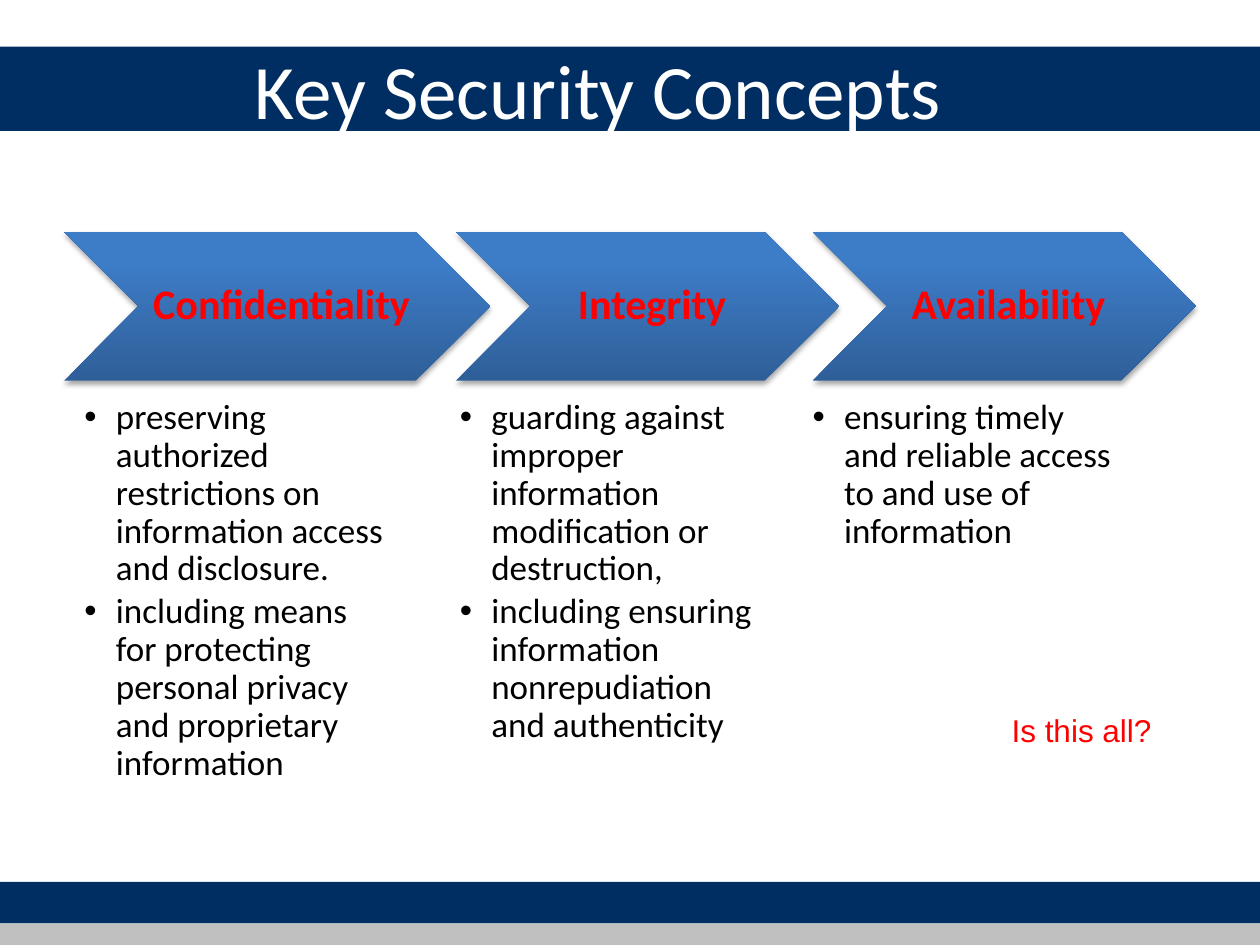
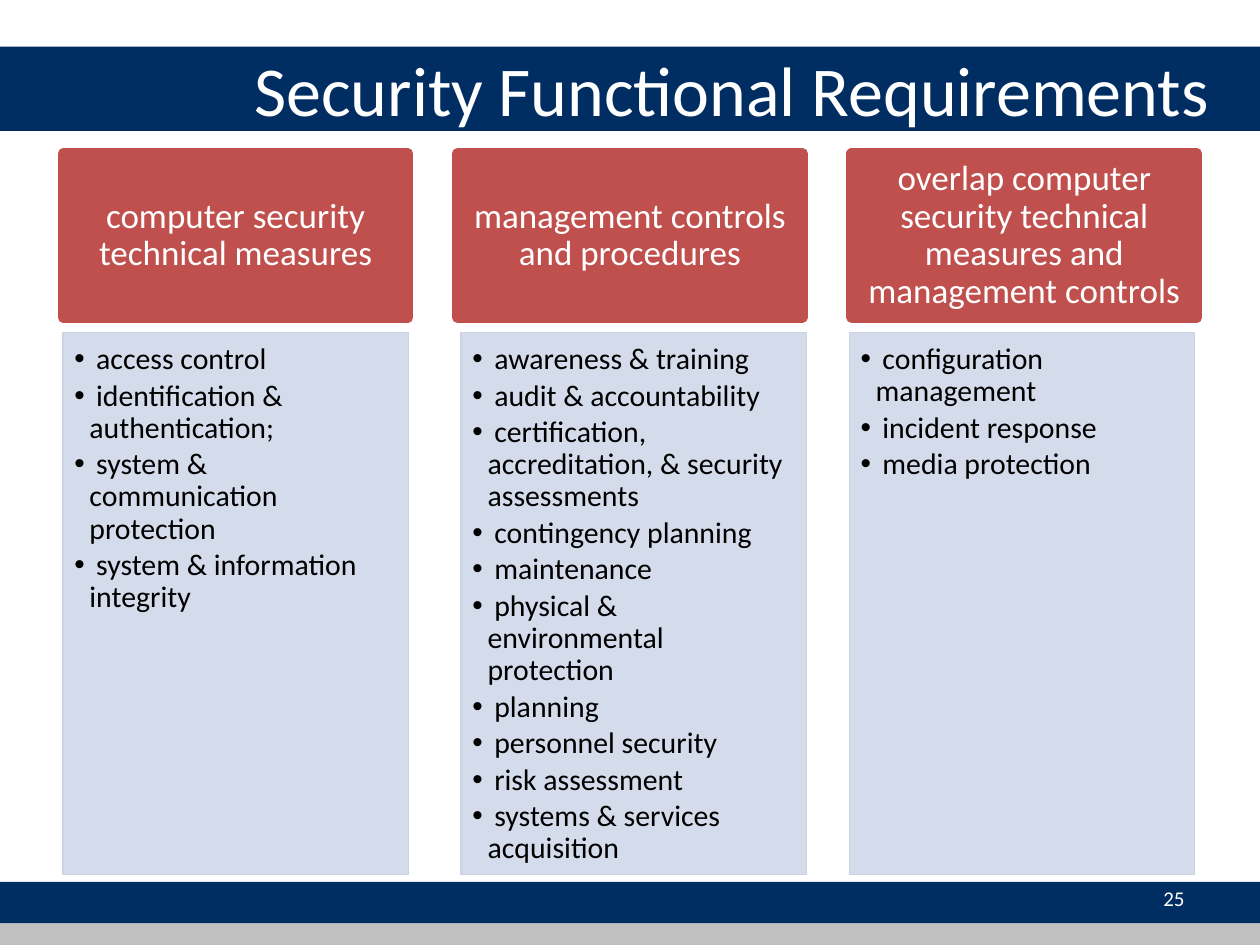
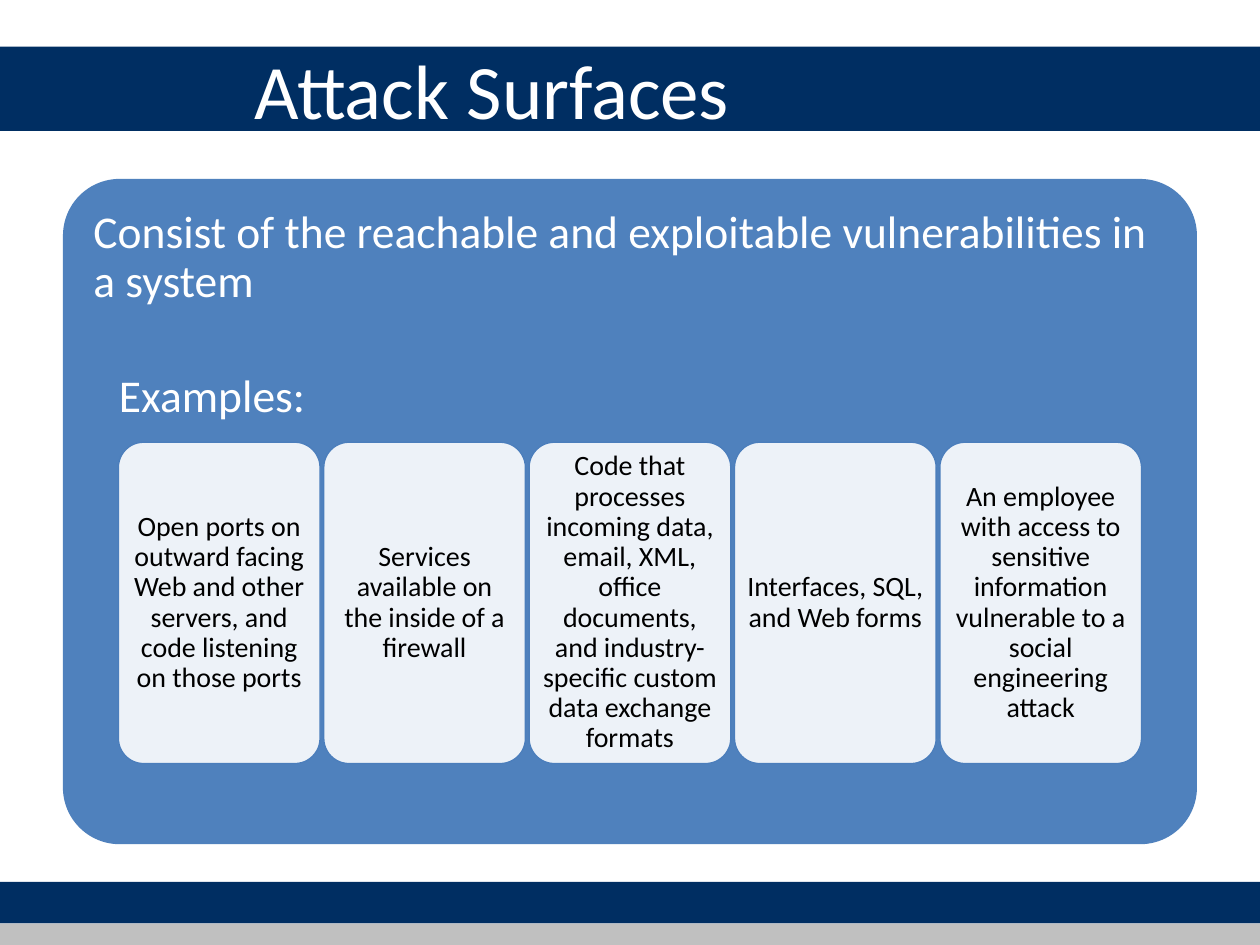
"""Build three security lecture slides with shared bands and title style."""
from lxml import etree
from pptx import Presentation, util as u
from pptx.dml import color
from pptx.enum import shapes, text
from pptx.oxml import ns

COLORS = {
    "navy": "002E62", "silver": "C0C0C0", "white": "FFFFFF", "black": "000000",
    "red": "FF0000", "brick": "C0504D", "mist": "D0D8E8", "mist_edge": "CBD3E3",
    "blue": "4F81BD", "blue_edge": "4B7EBC", "deep": "2F5F99", "bright": "3D7CC7",
}
SHAPE = shapes.MSO_SHAPE
ALIGN = text.PP_ALIGN
MIDDLE, TOP = text.MSO_ANCHOR.MIDDLE, text.MSO_ANCHOR.TOP


def rgb(name):
    return color.RGBColor.from_string(COLORS[name])


def add_xml(parent, tag, **attributes):
    values = {key: str(value) for key, value in attributes.items()}
    return etree.SubElement(parent, ns.qn(tag), values)


class Deck:
    def __init__(self):
        self.prs = Presentation()
        self.prs.slide_width, self.prs.slide_height = u.Inches(10), u.Inches(7.5)
        self.slide = None

    def start(self, heading, size=44):
        self.slide = self.prs.slides.add_slide(self.prs.slide_layouts[5])
        if len(self.prs.slides) == 1:
            self.bands()
        title = self.slide.shapes.title
        title.left, title.top, title.width, title.height = map(u.Inches, (1.92, 0.08, 7.92, 1.25))
        self.put_text(title, [heading], size, "white", anchor=MIDDLE,
                      insets=(0.1, 0.05, 0.1, 0.05), spacing=1)

    def bands(self):
        tree = self.prs.slide_master.element.cSld.spTree
        for index, (top, height, fill) in enumerate(
                [(7, 0.33, "navy"), (0.37, 0.67, "navy"), (7.33, 0.17, "silver")]):
            band = self.box(SHAPE.RECTANGLE, (0, top, 10, height), fill)
            band.element.nvSpPr.cNvPr.set("id", str(100 + index))
            tree.insert(2 + index, band.element)

    def box(self, kind, at, fill, edge=None, edge_width=0.75, alpha=None, radius=None):
        box = self.slide.shapes.add_shape(kind, *map(u.Inches, at))
        box.shadow.inherit = False
        box.fill.solid()
        box.fill.fore_color.rgb = rgb(fill)
        if alpha:
            tint = box.element.spPr.find(".//" + ns.qn("a:srgbClr"))
            add_xml(tint, "a:alpha", val=alpha * 1000)
        if edge:
            box.line.color.rgb = rgb(edge)
            box.line.width = u.Pt(edge_width)
        else:
            box.line.fill.background()
        if radius:
            box.adjustments[0] = radius / min(at[2:])
        return box

    def chevron(self, at, label):
        chevron = self.box(SHAPE.CHEVRON, at, "bright")
        chevron.fill.gradient()
        chevron.fill.gradient_angle = 90
        for stop, (tone, position) in zip(chevron.fill.gradient_stops, [("deep", 0), ("bright", 0.8)]):
            stop.color.rgb, stop.position = rgb(tone), position
        effects = chevron.element.spPr.find(ns.qn("a:effectLst"))
        shadow = add_xml(effects, "a:outerShdw", blurRad=40000, dist=23000,
                         dir=5400000, rotWithShape=0)
        tint = add_xml(shadow, "a:srgbClr", val=COLORS["black"])
        add_xml(tint, "a:alpha", val=35000)
        self.put_text(chevron, [label], 24, "red", ALIGN.CENTER, MIDDLE,
                      (0.11, 0.04, 0.04, 0.04), bold=True)

    def text_box(self, at):
        return self.slide.shapes.add_textbox(*map(u.Inches, at))

    def put_text(self, holder, lines, size, tone, align=ALIGN.LEFT, anchor=TOP, insets=(0, 0, 0, 0),
                 bold=False, bullet=None, spacing=0.9, font="Calibri", wrap=True):
        frame = holder.text_frame
        frame.auto_size, frame.word_wrap = text.MSO_AUTO_SIZE.NONE, wrap
        frame.vertical_anchor = anchor
        (frame.margin_left, frame.margin_top,
         frame.margin_right, frame.margin_bottom) = map(u.Inches, insets)
        for index, line in enumerate(lines):
            paragraph = frame.add_paragraph() if index else frame.paragraphs[0]
            paragraph.alignment, paragraph.line_spacing = align, spacing
            if bullet:
                self.bullet(paragraph, bullet, size)
            run = paragraph.add_run()
            run.text = line
            run.font.name, run.font.size, run.font.bold = font, u.Pt(size), bold
            run.font.color.rgb = rgb(tone)

    def bullet(self, paragraph, indent, size):
        paragraph.level = 1
        paragraph.space_after = u.Pt(round(size * 0.15, 1))
        properties = paragraph._p.get_or_add_pPr()
        properties.set("marL", str(u.Inches(indent)))
        properties.set("indent", str(u.Inches(-indent)))
        add_xml(properties, "a:buFont", typeface="Arial")
        add_xml(properties, "a:buChar", char="•")


def key_concepts(deck):
    deck.start("Key Security Concepts")
    concepts = [
        ("Confidentiality", 0.51, 3.38, 0.67, [
            "preserving authorized restrictions on information access and disclosure.",
            "including means for protecting personal privacy and proprietary information"]),
        ("Integrity", 3.62, 3.04, 3.65, [
            "guarding against improper information modification or destruction,",
            "including ensuring information nonrepudiation and authenticity"]),
        ("Availability", 6.45, 3.04, 6.45, [
            "ensuring timely and reliable access to and use of information"]),
    ]
    for concept, left, width, details_left, details in concepts:
        deck.chevron((left, 1.84, width, 1.18), concept)
        deck.put_text(deck.text_box((details_left, 3.17, 2.43, 3.1)), details, 20, "black",
                      bullet=0.25)
    deck.put_text(deck.text_box((7.93, 5.59, 1.32, 0.4)), ["Is this all?"], 18, "red",
                  insets=(0.1, 0.05, 0.1, 0.05), spacing=1, font="Arial", wrap=False)


def functional_requirements(deck):
    deck.start("Security Functional Requirements", 40)
    groups = [
        ("computer security technical measures", 0.5, [
            "access control", "identification & authentication;",
            "system & communication protection", "system & information integrity"]),
        ("management controls and procedures", 3.66, [
            "awareness & training", "audit & accountability",
            "certification, accreditation, & security assessments",
            "contingency planning", "maintenance", "physical & environmental protection",
            "planning", "personnel security", "risk assessment",
            "systems & services acquisition"]),
        ("overlap computer security technical measures and management controls", 6.74, [
            "configuration management", "incident response", "media protection"]),
    ]
    for index, (group, list_left, requirements) in enumerate(groups):
        header = deck.box(SHAPE.RECTANGLE, (0.5 + 3.13 * index, 1.22, 2.74, 1.3),
                          "brick", "brick", 6)
        deck.put_text(header, [group], 20, "white", ALIGN.CENTER, MIDDLE, (0.12, 0.07, 0.12, 0.07))
        listing = deck.box(SHAPE.RECTANGLE, (list_left, 2.64, 2.74, 4.3),
                           "mist", "mist_edge", alpha=90)
        deck.put_text(listing, [f" {item}" for item in requirements], 17, "black",
                      insets=(0.09, 0.09, 0.12, 0.13), bullet=0.12)
    deck.put_text(deck.text_box((7.17, 6.93, 2.33, 0.4)), ["25"], 12, "white", ALIGN.RIGHT, MIDDLE,
                  (0.1, 0.05, 0.1, 0.05), spacing=1)


def attack_surfaces(deck):
    deck.start("Attack Surfaces")
    panels = [
        ("Consist of the reachable and exploitable vulnerabilities in a system",
         (0.5, 1.42, 9, 5.28), 0.45),
        ("Examples:", (0.72, 2.74, 8.55, 3.7), 0.39),
    ]
    for statement, at, radius in panels:
        panel = deck.box(SHAPE.ROUNDED_RECTANGLE, at, "blue", radius=radius)
        deck.put_text(panel, [statement], 26, "white", insets=(0.11,) * 4)
    examples = [
        "Open ports on outward facing Web and other servers, and code listening on those ports",
        "Services available on the inside of a firewall",
        "Code that processes incoming data, email, XML, office documents, "
        "and industry-specific custom data exchange formats",
        "Interfaces, SQL, and Web forms",
        "An employee with access to sensitive information vulnerable to a social engineering attack",
    ]
    for index, example in enumerate(examples):
        card = deck.box(SHAPE.ROUNDED_RECTANGLE, (0.94 + 1.63 * index, 3.51, 1.6, 2.55),
                        "white", "blue_edge", alpha=90, radius=0.2)
        deck.put_text(card, [example], 16, "black", ALIGN.CENTER, MIDDLE, (0.04,) * 4)


def main():
    deck = Deck()
    key_concepts(deck)
    functional_requirements(deck)
    attack_surfaces(deck)
    deck.prs.save("out.pptx")


if __name__ == "__main__":
    main()
